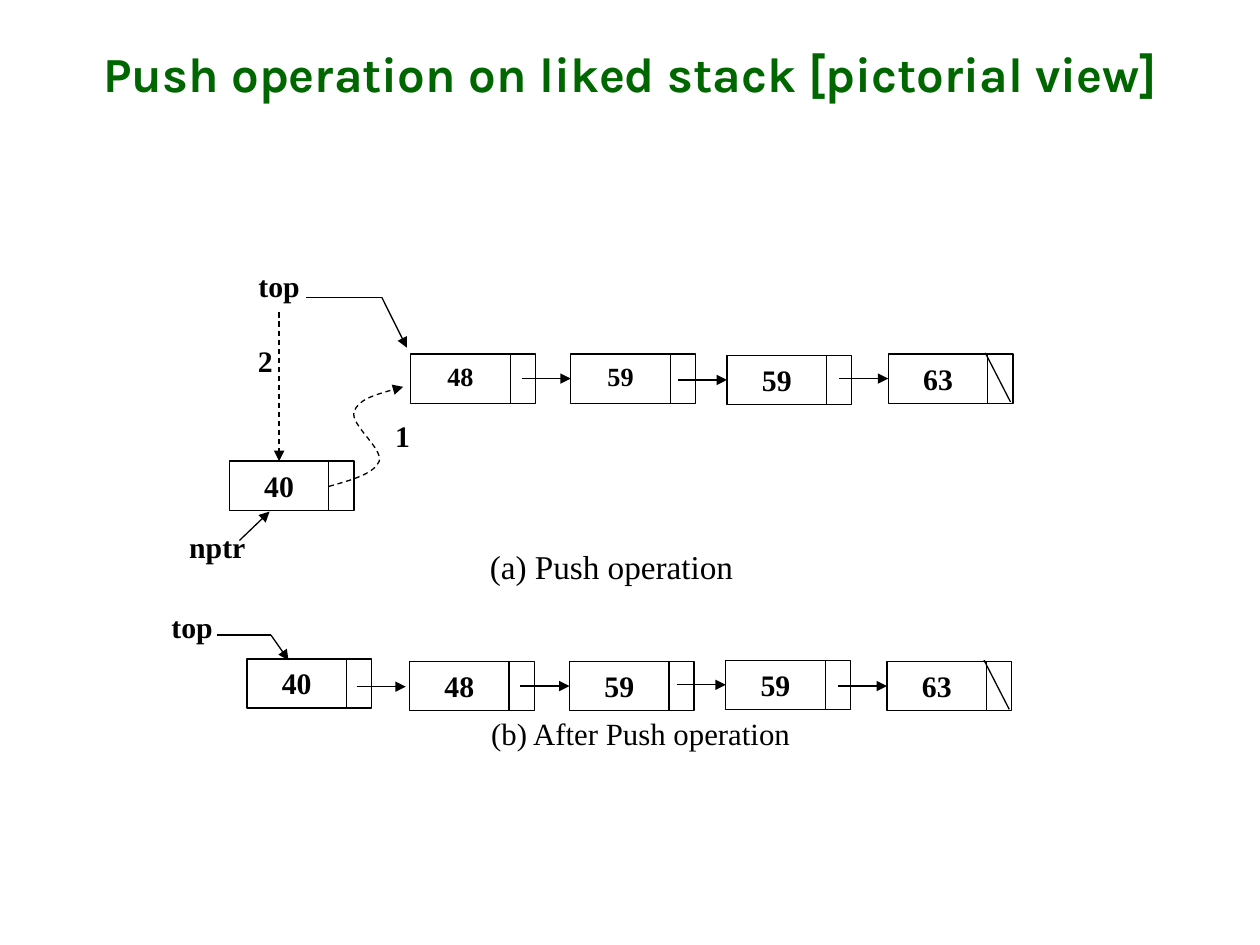
import pptx
import pptx.dml.color
import pptx.enum.dml
import pptx.enum.shapes
import pptx.enum.text
import pptx.oxml
import pptx.oxml.ns
import pptx.oxml.xmlchemy
import pptx.util

BLACK = pptx.dml.color.RGBColor(0x00, 0x00, 0x00)
WHITE = pptx.dml.color.RGBColor(0xFF, 0xFF, 0xFF)
GREEN = pptx.dml.color.RGBColor(0x00, 0x66, 0x00)
ALIGN = pptx.enum.text.PP_ALIGN
RECTANGLE = pptx.enum.shapes.MSO_SHAPE.RECTANGLE
STRAIGHT = pptx.enum.shapes.MSO_CONNECTOR.STRAIGHT

# The slide is a grid of 100 columns by 75 rows; all lengths are in its units.
SLIDE_WIDTH = pptx.util.Inches(10)
SLIDE_HEIGHT = pptx.util.Inches(7.5)
UNIT = SLIDE_WIDTH / 100
DATA_WIDTH, POINTER_WIDTH, NODE_HEIGHT = 7.9, 2, 3.9
LINK_LENGTH = 3.9
LABEL_HEIGHT = 4.4
NODE_OFFSETS = (0, 12.7, 25.1, 37.9)
LABEL_FONT = {"name": "Times New Roman", "size": 17, "bold": True, "color": BLACK}
CAPTION_FONT = {**LABEL_FONT, "bold": False}
TITLE_FONT = {"name": "Karla", "size": 28, "bold": True, "color": GREEN}


def grid(*values):
    return [round(value * UNIT) for value in values]


def write(shape, text, font, alignment=ALIGN.CENTER,
          anchor=pptx.enum.text.MSO_ANCHOR.TOP):
    frame = shape.text_frame
    frame.word_wrap = True
    frame.vertical_anchor = anchor
    paragraph = frame.paragraphs[0]
    paragraph.text = text
    paragraph.alignment = alignment
    for name, value in font.items():
        if name == "color":
            paragraph.font.color.rgb = value
        else:
            setattr(paragraph.font, name, pptx.util.Pt(value) if name == "size" else value)
    return paragraph


def format_line(shape, arrow=False, dashed=False):
    line = shape.line
    line.color.rgb = BLACK
    line.width = pptx.util.Pt(0.75)
    if dashed:
        line.dash_style = pptx.enum.dml.MSO_LINE.DASH
    if arrow:
        tail = pptx.oxml.xmlchemy.OxmlElement("a:tailEnd")
        tail.set("type", "triangle")
        line._get_or_add_ln().append(tail)


def add_line(slide, start, end, **style):
    line = slide.shapes.add_connector(STRAIGHT, *grid(*start, *end))
    format_line(line, **style)
    line._element.spPr.append(pptx.oxml.xmlchemy.OxmlElement("a:effectLst"))
    return line


def add_rectangle(slide, left, top, width, height, outlined=True):
    shape = slide.shapes.add_shape(RECTANGLE, *grid(left, top, width, height))
    shape.shadow.inherit = False
    shape.fill.solid()
    shape.fill.fore_color.rgb = WHITE
    if outlined:
        format_line(shape)
    else:
        shape.line.fill.background()
    return shape


def add_label(slide, left, top, text, width=DATA_WIDTH):
    write(add_rectangle(slide, left, top, width, LABEL_HEIGHT, False), text, LABEL_FONT)


def add_caption(slide, left, top, width, text, size):
    box = add_rectangle(slide, left, top, width, LABEL_HEIGHT, False)
    return write(box, text, {**CAPTION_FONT, "size": size}, ALIGN.LEFT)


def add_node(slide, left, top, value, size=17):
    """Draw a data cell with its pointer cell and return the data cell."""
    data = add_rectangle(slide, left, top, DATA_WIDTH, NODE_HEIGHT)
    write(data, value, {**LABEL_FONT, "size": size})
    add_rectangle(slide, left + DATA_WIDTH, top, POINTER_WIDTH, NODE_HEIGHT)
    return data


def add_chain(slide, left, top, third_shift, sizes):
    """Draw the four linked nodes; the last has a null pointer."""
    tops = (top, top, top + third_shift, top)
    nodes = [add_node(slide, left + offset, node_top, value, size)
             for offset, node_top, value, size
             in zip(NODE_OFFSETS, tops, ("48", "59", "59", "63"), sizes)]
    for offset, node_top, node in list(zip(NODE_OFFSETS, tops, nodes))[1:]:
        end, middle = left + offset, node_top + NODE_HEIGHT / 2
        link = add_line(slide, (end - LINK_LENGTH, middle), (end, middle), arrow=True)
        link.end_connect(node, 1)
    add_line(slide, (left + 45.6, top - 0.1), (left + 47.6, top + 3.8))


def add_bent_pointer(slide, start, bend, end):
    add_line(slide, start, bend)
    add_line(slide, bend, end, arrow=True)


def add_curved_pointer(slide, start, curves):
    """Draw a dashed arrow; each curve is two control points and an end."""
    points = [point for curve in curves for point in curve]
    builder = slide.shapes.build_freeform(*grid(*start))
    builder.add_line_segments([grid(*point) for point in points], close=False)
    shape = builder.convert_to_shape()
    shape.shadow.inherit = False
    shape.fill.background()
    format_line(shape, arrow=True, dashed=True)
    segments = list(shape._element.iter(pptx.oxml.ns.qn("a:lnTo")))
    for first in range(0, len(segments), 3):
        curve = pptx.oxml.xmlchemy.OxmlElement("a:cubicBezTo")
        segments[first].addprevious(curve)
        for segment in segments[first:first + 3]:
            curve.append(segment[0])
            segment.getparent().remove(segment)


def add_title(slide, left, top, width, height):
    title = slide.shapes.title
    title.left, title.top, title.width, title.height = grid(left, top, width, height)
    write(title, "Push operation on liked stack [pictorial view]", TITLE_FONT,
          anchor=pptx.enum.text.MSO_ANCHOR.MIDDLE)


def add_push_panel(slide, left, top):
    add_label(slide, left, top + 20.7, "nptr")
    add_label(slide, left + 4.8, top + 5.9, "2", 5.9)
    add_label(slide, left + 15.7, top + 11.9, "1", 5.9)
    add_label(slide, left + 4.9, top, "top")
    new_node = add_node(slide, left + 4.9, top + 15.8, "40")
    add_chain(slide, left + 19.3, top + 7.3, 0.1, (15, 15, 17, 17))
    add_bent_pointer(slide, (left + 11, top + 2.8), (left + 17, top + 2.8),
                     (left + 19, top + 6.8))
    add_curved_pointer(slide, (left + 12.8, top + 17.8), [
        [(left + x, top + y) for x, y in curve] for curve in (
            ((14.6, 17.3), (16.4, 16.8), (16.8, 15.8)),
            ((17.1, 14.8), (14.5, 12.9), (14.8, 11.9)),
            ((15.1, 10.9), (16.9, 10.4), (18.7, 9.9)))])
    new_top = add_line(slide, (left + 8.85, top + 4), (left + 8.85, top + 15.8),
                       arrow=True, dashed=True)
    new_top.end_connect(new_node, 0)
    add_line(slide, (left + 5.7, top + 22.1), (left + 8.1, top + 19.8), arrow=True)
    add_caption(slide, left + 24.6, top + 22.1, 25.6, "(a) Push operation", 19)


def add_result_panel(slide, left, top):
    add_label(slide, left, top, "top")
    add_node(slide, left + 8.3, top + 4.5, "40")
    add_bent_pointer(slide, (left + 5.9, top + 2.6), (left + 10.2, top + 2.6),
                     (left + 11.6, top + 4.6))
    add_chain(slide, left + 21.2, top + 4.7, -0.1, (17, 17, 17, 17))
    add_line(slide, (left + 17, top + 6.7), (left + 17 + LINK_LENGTH, top + 6.7), arrow=True)
    caption = add_caption(slide, left + 26.7, top + 8.8, 31.6,
                          "(b) After Push operation", 17.6)
    caption.line_spacing = 0.9


def main():
    presentation = pptx.Presentation()
    presentation.slide_width = SLIDE_WIDTH
    presentation.slide_height = SLIDE_HEIGHT
    slide = presentation.slides.add_slide(presentation.slide_layouts[5])
    add_title(slide, 5, 0.8, 90, 10)
    add_push_panel(slide, 13.3, 20.8)
    add_result_panel(slide, 11.3, 47.8)
    presentation.save("out.pptx")


if __name__ == "__main__":
    main()
